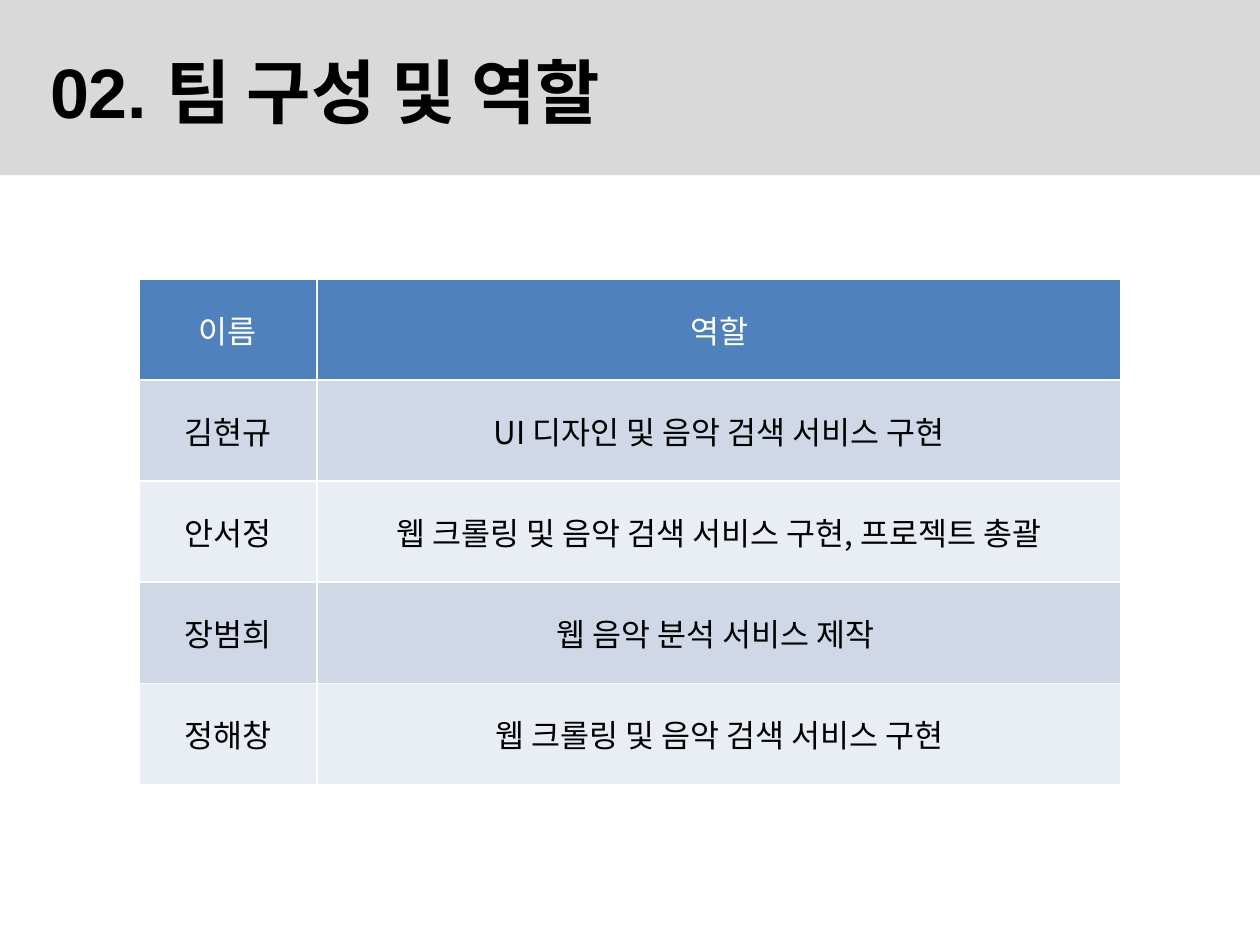
from lxml import etree
from pptx import Presentation
from pptx import util as u
from pptx.dml import color
from pptx.enum import shapes, text
from pptx.oxml import ns

COLORS = {
    "band": "D9D9D9",
    "header": "4F81BD",
    "odd": "D0D8E8",
    "even": "E9EDF4",
    "ink": "000000",
    "white": "FFFFFF",
}
KOREAN_FONT = "Noto Sans CJK KR"
ROLES = [
    ("이름", "역할"),
    ("김현규", "UI 디자인 및 음악 검색 서비스 구현"),
    ("안서정", "웹 크롤링 및 음악 검색 서비스 구현, 프로젝트 총괄"),
    ("장범희", "웹 음악 분석 서비스 제작 "),
    ("정해창", "웹 크롤링 및 음악 검색 서비스 구현"),
]


def rgb(name):
    return color.RGBColor.from_string(COLORS[name])


def write(frame, words, font, size, ink="ink", bold=False, align=text.PP_ALIGN.LEFT):
    para = frame.paragraphs[0]
    para.alignment = align
    span = para.add_run()
    span.text = words
    span.font.name = font
    span.font.size = u.Pt(size)
    span.font.bold = bold
    span.font.color.rgb = rgb(ink)
    properties = span.font._element
    etree.SubElement(properties, ns.qn("a:ea"), typeface=KOREAN_FONT)


def add_title_band(page, left, top, width, height):
    band = page.shapes.add_shape(
        shapes.MSO_SHAPE.RECTANGLE, u.Cm(left), u.Cm(top), u.Cm(width), u.Cm(height)
    )
    band.shadow.inherit = False
    band.fill.solid()
    band.fill.fore_color.rgb = rgb("band")
    band.line.fill.background()

    box = page.shapes.add_textbox(
        u.Cm(left + 0.76), u.Cm(top + 1.04), u.Cm(width - 3.94), u.Cm(1.55)
    )
    box.text_frame.word_wrap = True
    box.text_frame.vertical_anchor = text.MSO_ANCHOR.MIDDLE
    write(box.text_frame, "02. 팀 구성 및 역할", font="Arial", size=40, bold=True)


def add_role_table(page, left, top, width, height):
    name_width = 3.59
    table = page.shapes.add_table(
        len(ROLES), 2, u.Cm(left), u.Cm(top), u.Cm(width), u.Cm(height)
    ).table
    table.columns[0].width = u.Cm(name_width)
    table.columns[1].width = u.Cm(width - name_width)
    for row, entries in enumerate(ROLES):
        fill = "header" if row == 0 else "odd" if row % 2 else "even"
        for column, words in enumerate(entries):
            cell = table.cell(row, column)
            cell.fill.solid()
            cell.fill.fore_color.rgb = rgb(fill)
            cell.vertical_anchor = text.MSO_ANCHOR.MIDDLE
            write(
                cell.text_frame,
                words,
                font=KOREAN_FONT,
                size=18,
                ink="ink" if row else "white",
                align=text.PP_ALIGN.CENTER,
            )


def main():
    deck = Presentation()
    deck.slide_width = u.Cm(25.4)
    deck.slide_height = u.Cm(19.05)
    page = deck.slides.add_slide(deck.slide_layouts[6])
    add_title_band(page, left=0, top=0, width=25.4, height=3.53)
    add_role_table(page, left=2.8, top=5.62, width=19.8, height=10.2)
    deck.save("out.pptx")


if __name__ == "__main__":
    main()
